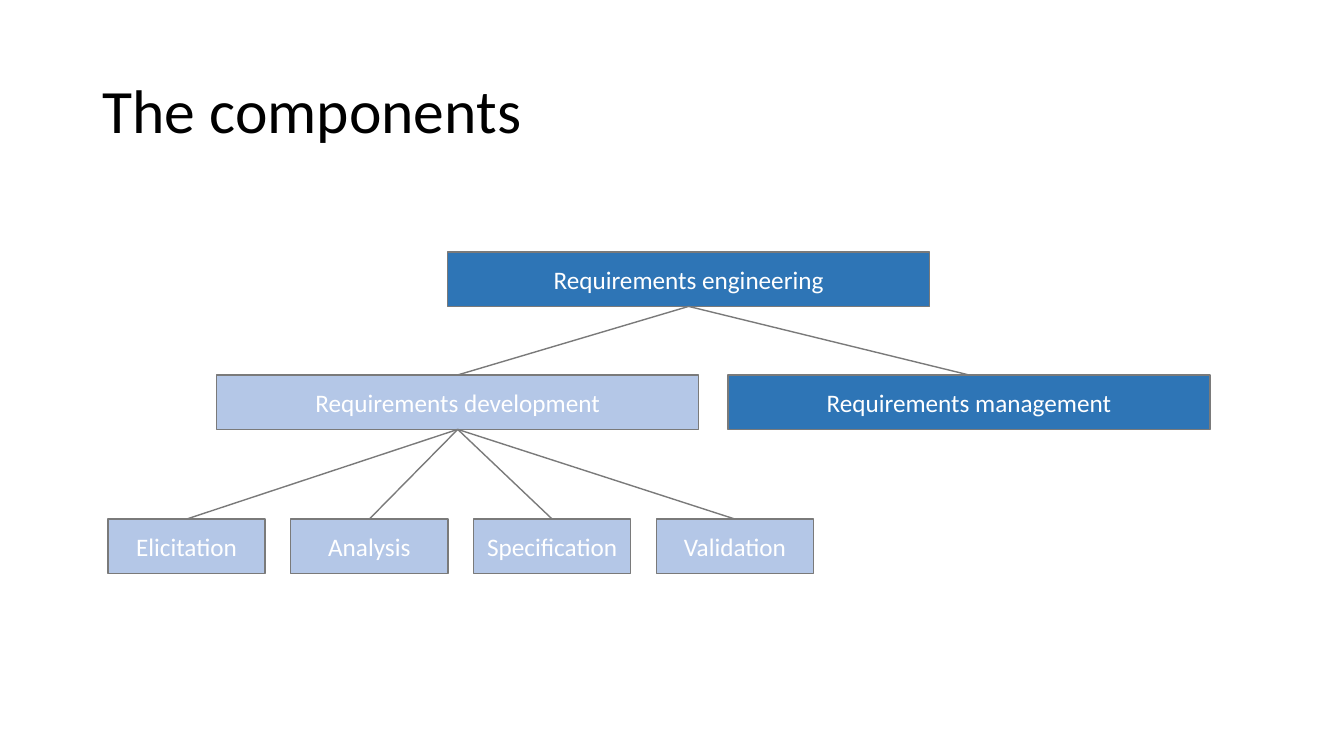
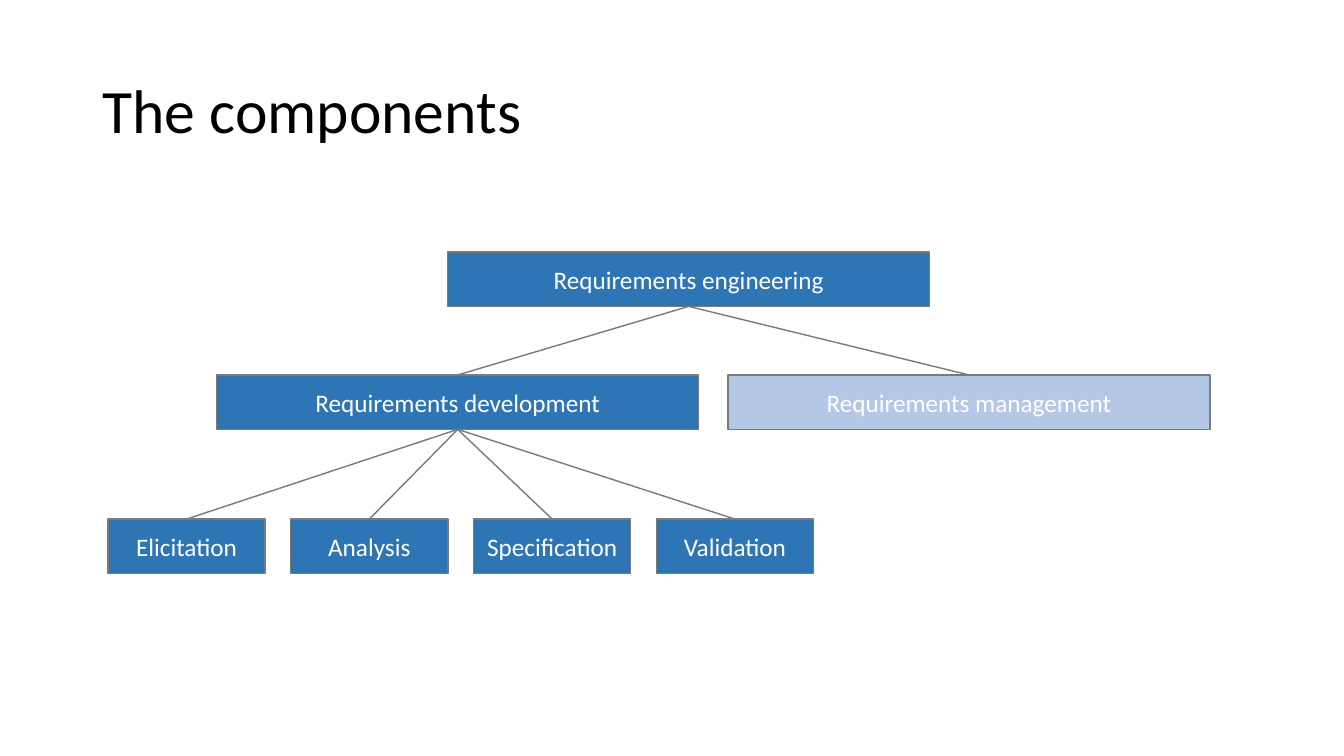
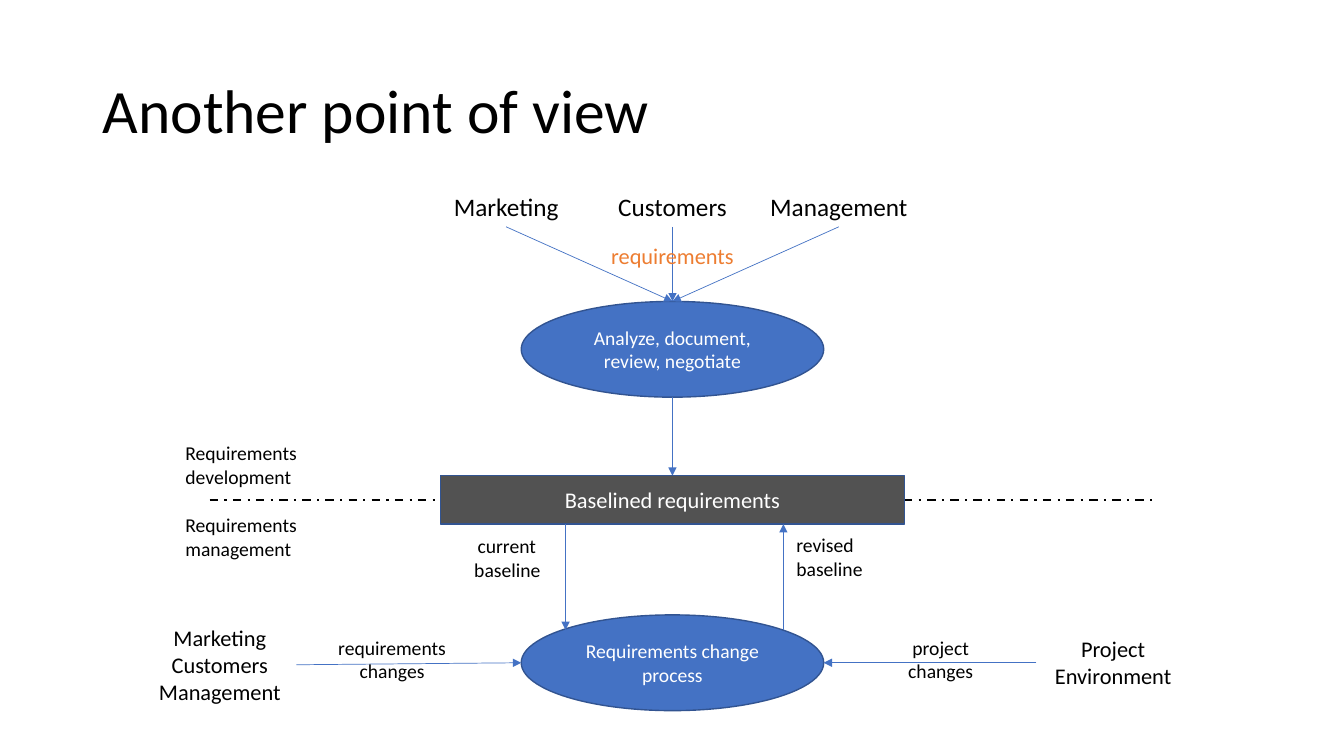
from copy import deepcopy
from typing import NamedTuple

from lxml.etree import SubElement
from pptx import Presentation
from pptx.dml.color import RGBColor
from pptx.enum.dml import MSO_LINE
from pptx.enum.shapes import MSO_CONNECTOR, MSO_SHAPE
from pptx.enum.text import MSO_ANCHOR, PP_ALIGN
from pptx.oxml.ns import qn
from pptx.util import Inches, Pt

FONT = "Calibri"
BLACK = RGBColor(0x00, 0x00, 0x00)
WHITE = RGBColor(0xFF, 0xFF, 0xFF)
STRONG_BLUE = RGBColor(0x2E, 0x75, 0xB6)
PALE_BLUE = RGBColor(0xB4, 0xC7, 0xE7)
TREE_GRAY = RGBColor(0x7A, 0x7A, 0x7A)
PROCESS_BLUE = RGBColor(0x44, 0x72, 0xC4)
PROCESS_EDGE = RGBColor(0x32, 0x54, 0x91)
BASELINE_GRAY = RGBColor(0x52, 0x52, 0x52)
ORANGE = RGBColor(0xED, 0x7D, 0x31)


class Box(NamedTuple):
    """A region in inches."""
    left: float
    top: float
    width: float
    height: float

    def lengths(self):
        return [Inches(length) for length in self]


TITLE_BOX = Box(0.92, 0.4, 11.5, 1.45)


# Shared building blocks
def write_text(shape, text, size=14, color=BLACK, align=PP_ALIGN.CENTER,
               anchor=MSO_ANCHOR.TOP, line_spacing=None):
    frame = shape.text_frame
    frame.word_wrap = True
    frame.vertical_anchor = anchor
    paragraph = frame.paragraphs[0]
    paragraph.text = text
    paragraph.alignment = align
    paragraph.line_spacing = line_spacing
    for run in paragraph.runs:
        run.font.name = FONT
        run.font.size = Pt(size)
        run.font.color.rgb = color
    # Line breaks take the same character format as the text around them
    for line_break in paragraph._p.findall(qn("a:br")):
        line_break.insert(0, deepcopy(paragraph.runs[0]._r.rPr))


def add_label(slide, box, text, **text_format):
    label = slide.shapes.add_textbox(*box.lengths())
    write_text(label, text, **text_format)


def add_node(slide, box, text, fill, edge, size, kind=MSO_SHAPE.RECTANGLE):
    node = slide.shapes.add_shape(kind, *box.lengths())
    node.shadow.inherit = False
    node.fill.solid()
    node.fill.fore_color.rgb = fill
    node.line.color.rgb = edge
    node.line.width = Pt(1)
    write_text(node, text, size=size, color=WHITE, anchor=MSO_ANCHOR.MIDDLE)
    return node


def add_process(slide, box, text):
    add_node(slide, box, text, PROCESS_BLUE, PROCESS_EDGE, 14, MSO_SHAPE.OVAL)


def add_line(slide, start, end, color, width):
    line = slide.shapes.add_connector(
        MSO_CONNECTOR.STRAIGHT, *[Inches(length) for length in (*start, *end)])
    line.line.color.rgb = color
    line.line.width = Pt(width)
    SubElement(line._element.spPr, qn("a:effectLst"))
    return line


def add_arrow(slide, start, end):
    arrow = add_line(slide, start, end, PROCESS_BLUE, 0.5)
    SubElement(arrow.line._get_or_add_ln(), qn("a:tailEnd"), type="triangle")


def add_titled_slide(deck, title):
    slide = deck.slides.add_slide(deck.slide_layouts[6])
    add_label(slide, TITLE_BOX, title, size=44, align=PP_ALIGN.LEFT,
              anchor=MSO_ANCHOR.MIDDLE, line_spacing=0.9)
    return slide


# Component tree
def component_tree(slide, box, pale):
    wide, narrow, height = 4.78, 1.56, 0.54
    branch_top = box.top + 1.22
    leaf_top = box.top + box.height - height
    leaf_step = (7 - narrow) / 3

    def component(text, left, top, width):
        fill = PALE_BLUE if text in pale else STRONG_BLUE
        return add_node(slide, Box(left, top, width, height), text,
                        fill, TREE_GRAY, 18)

    engineering = component("Requirements engineering", box.left + 3.37,
                            box.top, wide)
    development = component("Requirements development", box.left + 1.08,
                            branch_top, wide)
    management = component("Requirements management",
                           box.left + box.width - wide, branch_top, wide)
    leaves = [component(text, box.left + i * leaf_step, leaf_top, narrow)
              for i, text in enumerate(ACTIVITIES)]

    links = [(engineering, development), (engineering, management)]
    links += [(development, leaf) for leaf in leaves]
    for parent, child in links:
        link = add_line(slide, (0, 0), (1, 1), TREE_GRAY, 1)
        link.begin_connect(parent, 2)
        link.end_connect(child, 0)


# Sources feeding the analysis process
def requirements_sources(slide, box):
    center = box.left + box.width / 2
    label_width, arrow_top, process_top = 1.7, box.top + 0.4, box.top + 1.14
    step = (box.width - label_width) / 2
    add_process(slide, Box(center - 1.5, process_top, 3, 0.95),
                "Analyze, document,\nreview, negotiate")
    for i, source in enumerate(("Marketing", "Customers", "Management")):
        left = box.left + i * step
        add_label(slide, Box(left, box.top, label_width, 0.4), source, size=18)
        add_arrow(slide, (left + label_width / 2, arrow_top),
                  (center, process_top))
    add_label(slide, Box(center - 1.73, box.top + 0.5, 3.46, 0.37),
              "requirements", size=16, color=ORANGE)
    add_arrow(slide, (center, process_top + 0.95),
              (center, box.top + box.height))


# Baseline between development and management
def baseline_divider(slide, box):
    middle = box.top + box.height / 2
    divider = add_line(slide, (box.left, middle),
                       (box.left + box.width, middle), BLACK, 1.5)
    divider.line.dash_style = MSO_LINE.DASH_DOT
    add_node(slide, Box(box.left + 2.29, middle - 0.24, 4.6, 0.48),
             "Baselined requirements", BASELINE_GRAY, PROCESS_EDGE, 16)
    for text, offset in (("Requirements\ndevelopment", -0.63),
                         ("Requirements\nmanagement", 0.08)):
        add_label(slide, Box(box.left - 0.34, middle + offset, 1.56, 0.57),
                  text, align=PP_ALIGN.LEFT)


# Change process with its inputs and the baseline loop
def change_process(slide, box):
    center = box.left + 5.25
    process = Box(center - 1.5, box.top + box.height - 0.95, 3, 0.95)
    middle = process.top + process.height / 2
    right = process.left + process.width
    side_width = 1.52
    project_left = box.left + box.width - side_width
    add_process(slide, process, "Requirements change process")

    # Inputs from both sides
    add_label(slide, Box(box.left, middle - 0.43, side_width, 0.91),
              "Marketing\nCustomers\nManagement", size=16)
    add_arrow(slide, (box.left + side_width, middle + 0.02),
              (process.left, middle))
    add_label(slide, Box(project_left, middle - 0.32, side_width, 0.64),
              "Project\nEnvironment", size=16)
    add_arrow(slide, (project_left, middle), (right, middle))
    for text, left in (("project\nchanges", right + 0.38),
                       ("requirements\nchanges", box.left + 1.69)):
        add_label(slide, Box(left, middle - 0.32, 1.56, 0.57), text)

    # Current baseline down, revised baseline up
    current, revised = center - 1.06, center + 1.1
    process_edge = process.top + 0.15
    add_arrow(slide, (current, box.top), (current, process_edge))
    add_arrow(slide, (revised, process_edge), (revised, box.top))
    add_label(slide, Box(current - 1.42, box.top + 0.05, 1.27, 0.57),
              "current \nbaseline", align=PP_ALIGN.RIGHT)
    add_label(slide, Box(revised + 0.03, box.top + 0.04, 1.27, 0.57),
              "revised \nbaseline", align=PP_ALIGN.LEFT)


ACTIVITIES = ("Elicitation", "Analysis", "Specification", "Validation")

deck = Presentation()
deck.slide_width, deck.slide_height = Inches(13.33), Inches(7.5)

for pale_components in (("Requirements development", *ACTIVITIES),
                        ("Requirements management",)):
    components = add_titled_slide(deck, "The components")
    component_tree(components, Box(1.07, 2.5, 10.93, 3.19), pale_components)

viewpoint = add_titled_slide(deck, "Another point of view")
requirements_sources(viewpoint, Box(4.17, 1.85, 5, 2.87))
baseline_divider(viewpoint, Box(2.08, 4.32, 9.38, 1.28))
change_process(viewpoint, Box(1.42, 5.2, 10.38, 1.85))

deck.save("out.pptx")
